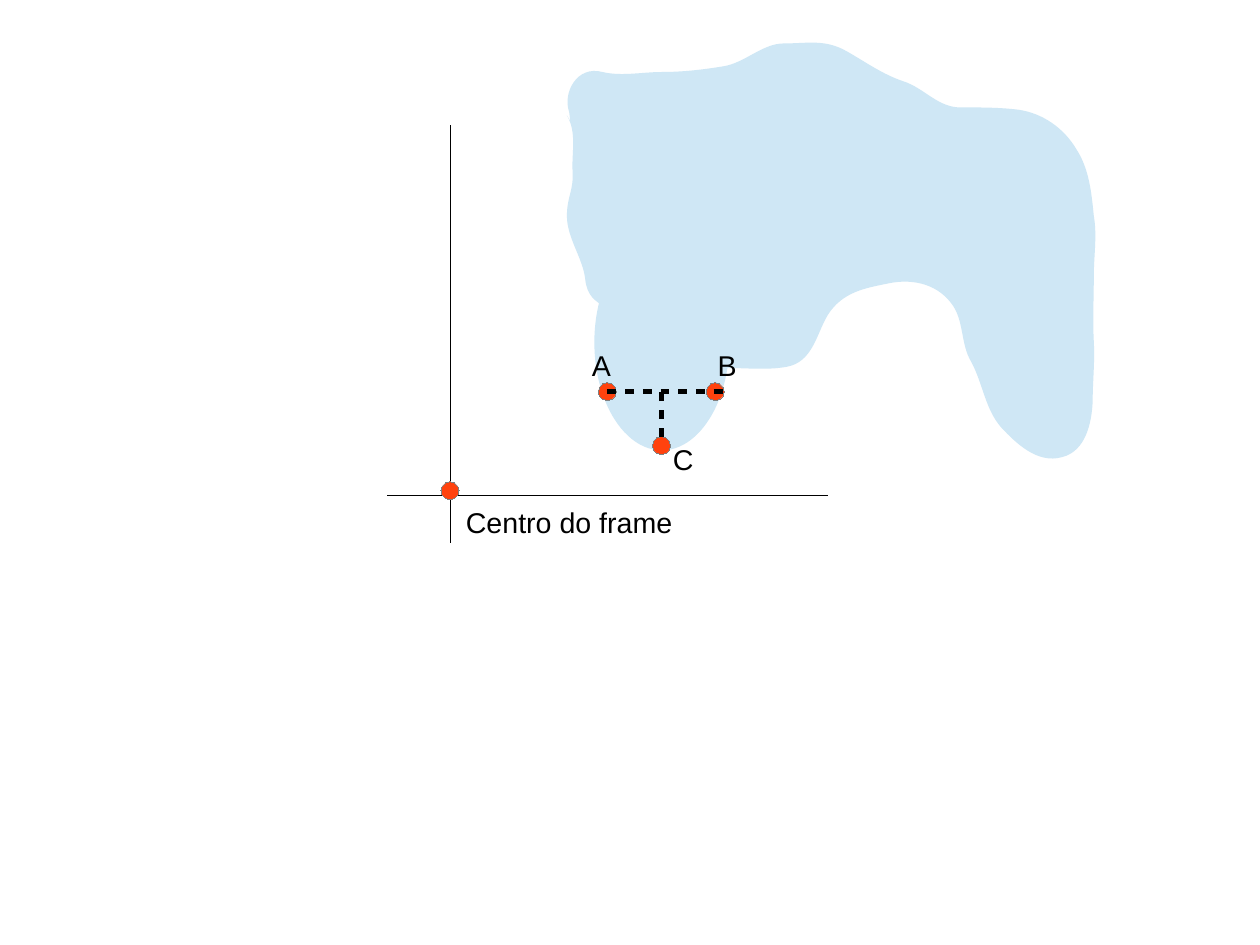
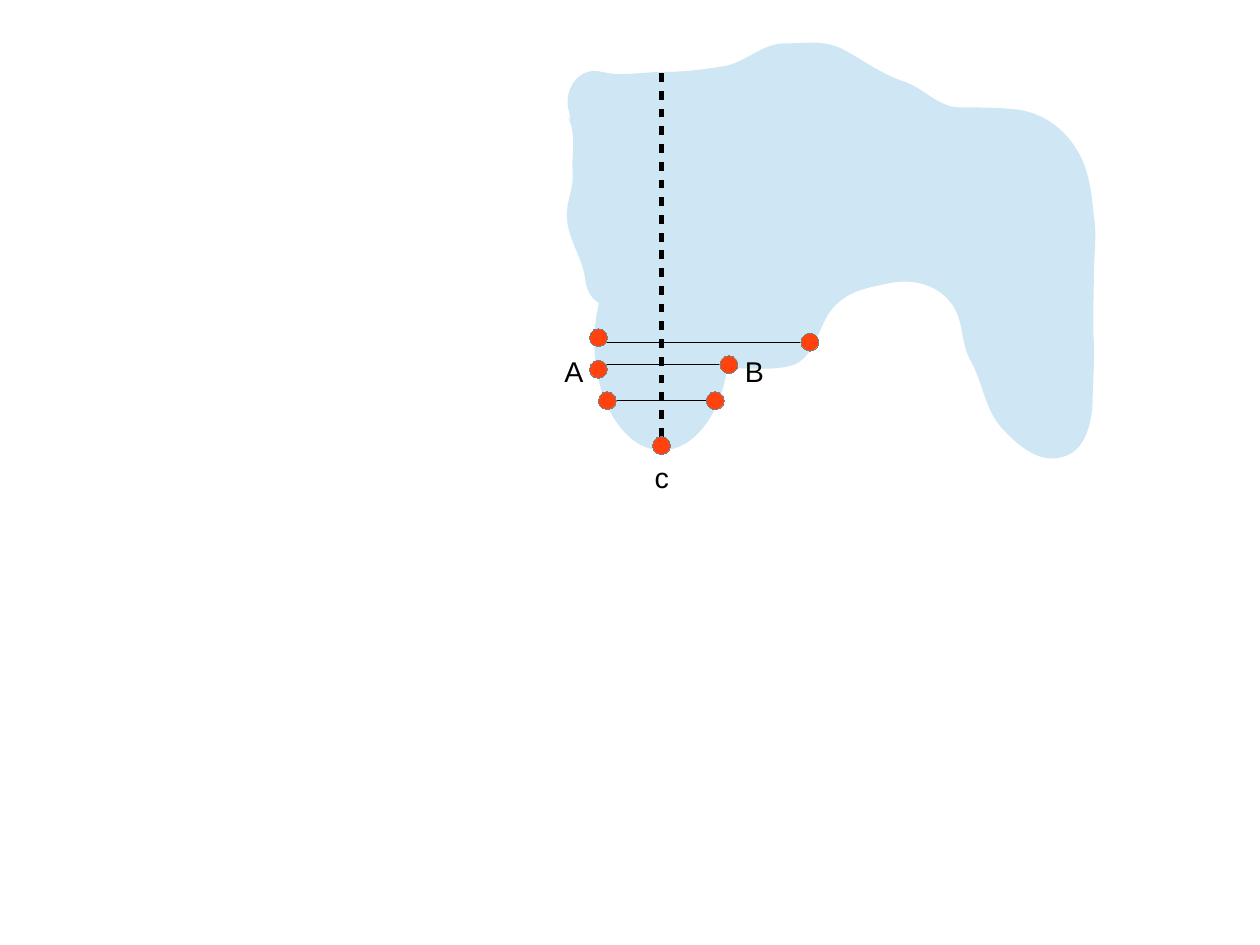
from dataclasses import dataclass
from lxml.etree import Element, SubElement
from pptx import Presentation
from pptx.dml.color import RGBColor
from pptx.enum.shapes import MSO_CONNECTOR, MSO_SHAPE
from pptx.enum.text import MSO_AUTO_SIZE
from pptx.oxml.ns import qn
from pptx.util import Pt


@dataclass(frozen=True)
class Theme:
    area: str = "CFE7F5"
    dot: str = "FF420E"
    rim: str = "808080"
    ink: str = "000000"
    font: str = "Arial"
    size: float = 18
    thin: float = 0
    thick: float = 2.83
    round: float = 11.34  # dot diameter


# Outline of the area in hundredths of an inch: a start point, then
# cubic curves as (control, control, end), then a short closing corner
UNIT = Pt(72) / 100
START = (496, 101)
CURVES = [
    (505, 116, 500, 134, 501, 150), (502, 167, 496, 172, 496, 189),
    (496, 208, 510, 226, 512, 244), (515, 274, 542, 262, 546, 293),
    (548, 311, 567, 326, 587, 322), (603, 320, 620, 323, 637, 322),
    (654, 322, 671, 324, 688, 321), (711, 317, 714, 293, 724, 276),
    (737, 255, 758, 252, 777, 248), (796, 244, 818, 247, 832, 265),
    (844, 280, 840, 301, 850, 317), (860, 336, 862, 358, 876, 374),
    (889, 388, 908, 406, 929, 400), (950, 395, 955, 370, 956, 352),
    (956, 334, 958, 317, 957, 299), (956, 280, 957, 261, 957, 241),
    (957, 224, 960, 206, 957, 189), (955, 169, 953, 148, 942, 131),
    (931, 112, 912, 99, 891, 96), (875, 94, 858, 94, 842, 94),
    (821, 95, 809, 77, 790, 71), (772, 65, 757, 54, 741, 45),
    (722, 34, 707, 38, 686, 38), (667, 38, 652, 55, 633, 58),
    (615, 61, 597, 63, 579, 63), (562, 63, 544, 67, 527, 63),
    (505, 57, 492, 81, 498, 98),
]
CORNER = (499, 106)


def write(frame, text, font, size, color):
    """Put formatted text in a frame."""
    para = frame.paragraphs[0]
    para.text = text
    para.font.name = font
    para.font.size = Pt(size)
    para.font.color.rgb = RGBColor.from_string(color)


class Deck:
    def __init__(self, theme, wide, high):
        self.theme = theme
        self.file = Presentation()
        self.file.slide_width = Pt(wide)
        self.file.slide_height = Pt(high)

    def page(self):
        slide = self.file.slides.add_slide(self.file.slide_layouts[6])
        self.shapes = slide.shapes
        self.region()

    def stroke(self, shape, color, width):
        """Set a line; a hairline needs its zero width written out."""
        shape.line.color.rgb = RGBColor.from_string(color)
        rule = shape.element.spPr.find(qn("a:ln"))
        rule.set("w", str(Pt(width)))
        return rule

    def paint(self, shape, fill, line=None):
        shape.shadow.inherit = False
        shape.fill.solid()
        shape.fill.fore_color.rgb = RGBColor.from_string(fill)
        if line:
            self.stroke(shape, line, self.theme.thin)
        else:
            shape.line.fill.background()

    def oval(self, x, y, w, h, fill, line=None):
        shape = self.shapes.add_shape(
            MSO_SHAPE.OVAL, Pt(x), Pt(y), Pt(w), Pt(h))
        self.paint(shape, fill, line)

    def region(self):
        """Draw the shaded area both slides share."""
        self.oval(374.4, 147.6, 85, 136.1, self.theme.area)
        ends = [curve[4:] for curve in CURVES]
        pen = self.shapes.build_freeform(*START, scale=UNIT)
        pen.add_line_segments([*ends, CORNER], close=True)
        shape = pen.convert_to_shape()
        self.bend(shape, [START, *ends, CORNER])
        self.paint(shape, self.theme.area)

    def bend(self, shape, pts):
        """Turn the straight segments of an outline into its curves."""
        left = min(x for x, y in pts)
        top = min(y for x, y in pts)
        track = next(shape.element.iter(qn("a:path")))
        for old, curve in zip(track.findall(qn("a:lnTo")), CURVES):
            new = Element(qn("a:cubicBezTo"))
            for x, y in zip(curve[::2], curve[1::2]):
                SubElement(new, qn("a:pt"), x=str(x - left), y=str(y - top))
            track.replace(old, new)

    def dot(self, x, y):
        """Draw a dot around its centre."""
        d = self.theme.round
        self.oval(x - d / 2, y - d / 2, d, d, self.theme.dot, self.theme.rim)

    def line(self, x1, y1, x2, y2, dash=False):
        link = self.shapes.add_connector(
            MSO_CONNECTOR.STRAIGHT, Pt(x1), Pt(y1), Pt(x2), Pt(y2))
        width = self.theme.thick if dash else self.theme.thin
        rule = self.stroke(link, self.theme.ink, width)
        if dash:
            # Dash and gap are both about two line widths long
            style = SubElement(rule, qn("a:custDash"))
            SubElement(style, qn("a:ds"), d="197000", sp="197000")
        SubElement(link.element.spPr, qn("a:effectLst"))

    def label(self, text, x, y, w=25.9, h=27.4):
        box = self.shapes.add_textbox(Pt(x), Pt(y), Pt(w), Pt(h))
        frame = box.text_frame
        frame.word_wrap = False
        frame.auto_size = MSO_AUTO_SIZE.SHAPE_TO_FIT_TEXT
        write(frame, text, font=self.theme.font, size=self.theme.size,
              color=self.theme.ink)


def main():
    deck = Deck(Theme(), 793.7, 595.3)
    tip = (416.7, 280.7)
    top = tip[1] - deck.theme.round / 2
    left, right = 382.6, 450.6

    # Slide 1: frame axes and points A, B, C
    deck.page()
    deck.line(283.5, 79.2, 283.5, 342)
    deck.line(243.8, 311.9, 521.3, 311.9)
    row = 246.7
    for spot in ((left, row), (right, row), tip):
        deck.dot(*spot)
    deck.line(left, row, 456.4, row, dash=True)
    deck.line(tip[0], top, tip[0], row, dash=True)
    deck.label("A", 365.8, 215.6)
    deck.label("B", 445, 215.6)
    deck.label("C", tip[0], 275, w=27.4)
    deck.label("Centro do frame", 286.4, 314.6, w=147)
    deck.dot(283.5, 309.1)

    # Slide 2: widths measured across the axis above C
    deck.page()
    deck.line(tip[0], top, tip[0], 45.4, dash=True)
    for y, end in ((252.4, 447.8), (229.6, 459.2), (215.6, 504.7)):
        deck.line(left, y, end, y)
    for spot in (tip, (left, 252.4), (right, 252.4), (377, 232.6),
                 (459.2, 229.7), (377, 212.7), (510.2, 215.5)):
        deck.dot(*spot)
    deck.label("c", 405.2, 286.4, w=23)
    deck.label("A", 348.5, 219.6)
    deck.label("B", 462.2, 219.6)

    deck.file.save("out.pptx")


if __name__ == "__main__":
    main()
